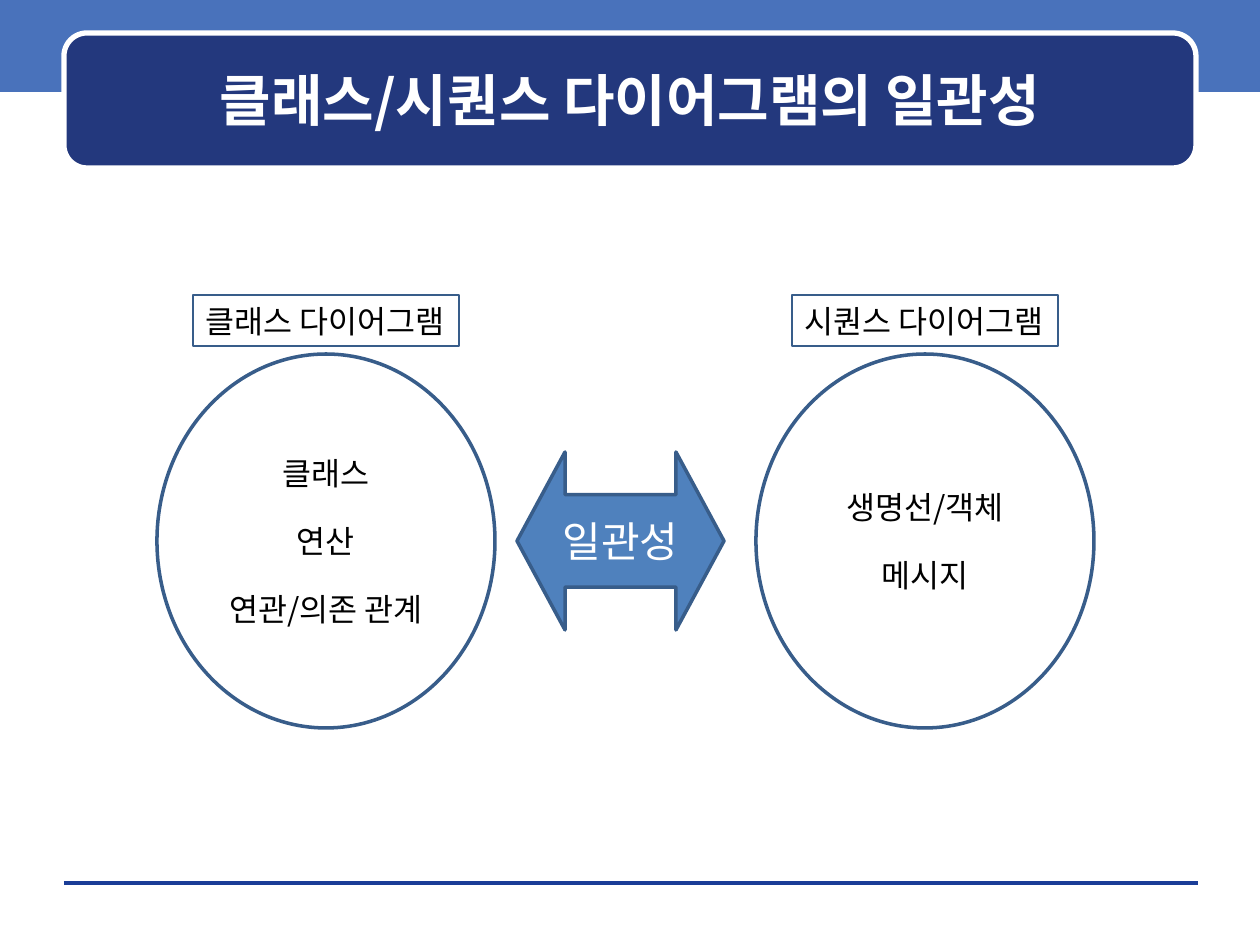
from pptx import Presentation
from pptx.dml.color import RGBColor
from pptx.enum.shapes import MSO_CONNECTOR, MSO_SHAPE as Shape
from pptx.enum.text import MSO_ANCHOR, PP_ALIGN as Align
from pptx.oxml.ns import qn
from pptx.util import Emu, Pt
from lxml.etree import SubElement

FONT = "Noto Sans CJK KR"
OUTLINE = "385D8A"


def px(n):
    return Emu(round(n * 914400 / 126))


def color(value):
    return RGBColor.from_string(value)


class Canvas:
    def __init__(self, slide):
        self.s = slide

    def shape(self, kind, box, fill=None, line=None, width=2, adj=()):
        sp = self.s.shapes.add_shape(kind, *map(px, box))
        sp.shadow.inherit = False
        for i, value in enumerate(adj):
            sp.adjustments[i] = value
        if fill:
            sp.fill.solid()
            sp.fill.fore_color.rgb = color(fill)
        else:
            sp.fill.background()
        if line:
            sp.line.color.rgb = color(line)
            sp.line.width = Pt(width)
        else:
            sp.line.fill.background()
        return sp

    def rule(self, x1, x2, y, line):
        cn = self.s.shapes.add_connector(
            MSO_CONNECTOR.STRAIGHT, px(x1), px(y), px(x2), px(y))
        cn.line.color.rgb = color(line)
        cn.line.width = Pt(0)
        SubElement(cn._element.spPr, qn("a:effectLst"))

    def textbox(self, box, text, **style):
        sp = self.s.shapes.add_textbox(*map(px, box))
        self.label(sp, text, **style)

    def label(self, sp, text, size=18, ink="000000", bold=False,
              align=Align.CENTER, gap=0, wrap=True):
        tf = sp.text_frame
        tf.text = text
        tf.word_wrap = wrap
        tf.vertical_anchor = MSO_ANCHOR.MIDDLE
        tf.margin_top = tf.margin_bottom = 0
        for i, p in enumerate(tf.paragraphs):
            p.alignment = align
            p.space_before = Pt(gap if i else 0)
            for r in p.runs:
                r.font.size = Pt(size)
                r.font.bold = bold
                r.font.color.rgb = color(ink)
                r.font.name = FONT
                SubElement(r.font._element, qn("a:ea"), typeface=FONT)

    def diagram(self, x, title, items):
        circle = self.shape(Shape.OVAL, (x, 354, 338, 374), line=OUTLINE)
        self.label(circle, "\n".join(items), gap=17)
        tag = self.shape(Shape.RECTANGLE, (x + 36, 295, 266, 51),
                         line=OUTLINE, width=0.75)
        self.label(tag, title, align=Align.LEFT, wrap=False)


def main():
    prs = Presentation()
    prs.slide_width, prs.slide_height = px(1260), px(945)
    c = Canvas(prs.slides.add_slide(prs.slide_layouts[6]))

    c.shape(Shape.RECTANGLE, (0, -4, 1260, 96), fill="4972BB")
    c.rule(64, 1198, 883, "1A3D97")
    c.shape(Shape.ROUNDED_RECTANGLE, (64, 33, 1132, 135),
            fill="23387D", line="FFFFFF", width=3, adj=(0.17,))
    c.textbox((75, 44, 1110, 111), "클래스/시퀀스 다이어그램의 일관성",
              size=32, ink="FFFFFF", bold=True)

    c.diagram(756, "시퀀스 다이어그램", ("생명선/객체", "메시지"))
    c.diagram(157, "클래스 다이어그램", ("클래스", "연산", "연관/의존 관계"))

    arrow = c.shape(Shape.LEFT_RIGHT_ARROW, (517, 452, 207, 178),
                    fill="4F81BD", line=OUTLINE, adj=(0.52, 0.27))
    c.label(arrow, "일관성", size=24, ink="FFFFFF")

    prs.save("out.pptx")


if __name__ == "__main__":
    main()
